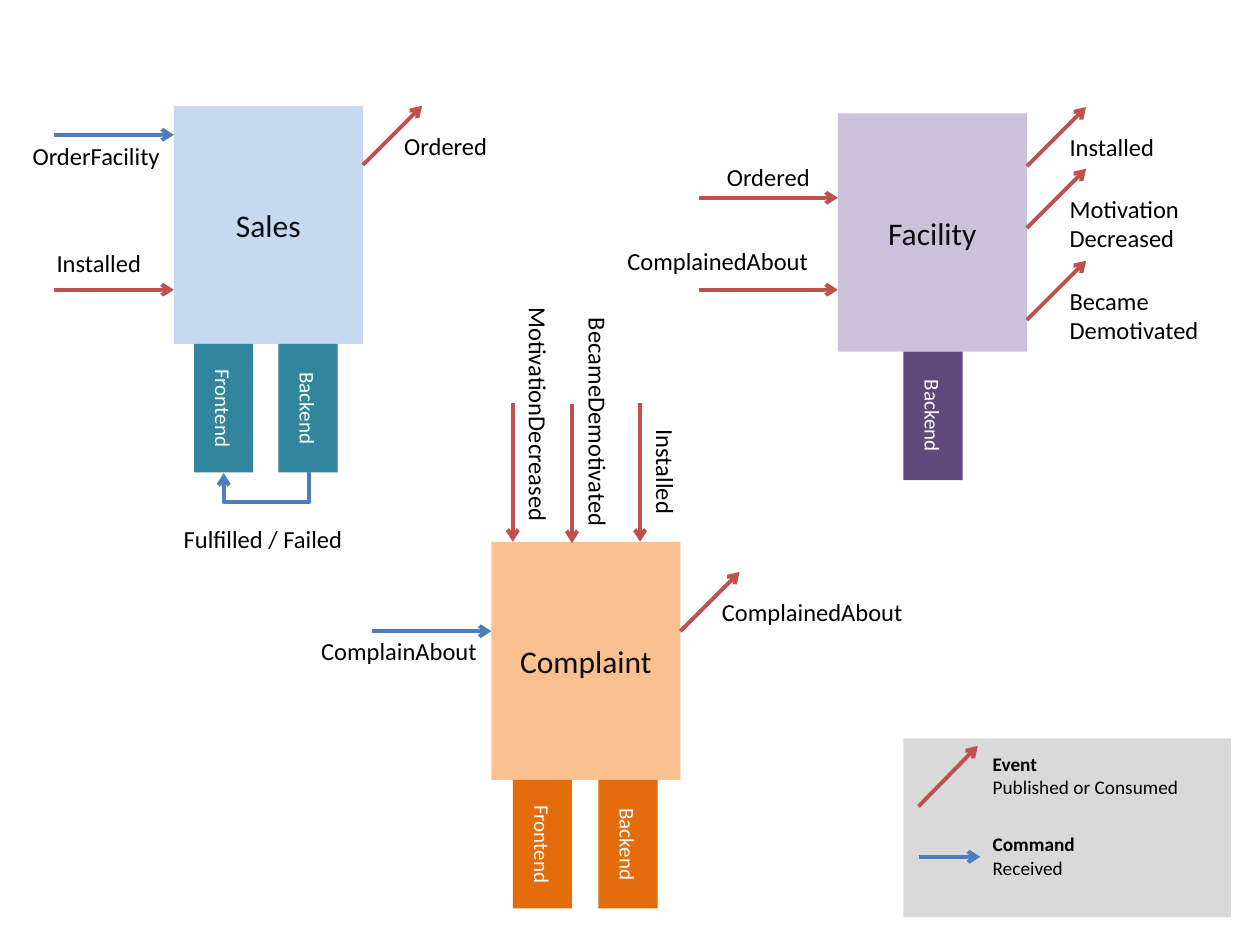
"""Build a slide showing commands and events exchanged by three services."""
from dataclasses import dataclass

from lxml.etree import SubElement
from pptx import Presentation
from pptx.dml.color import RGBColor
from pptx.enum.shapes import MSO_CONNECTOR, MSO_SHAPE
from pptx.enum.text import MSO_ANCHOR, MSO_AUTO_SIZE, PP_ALIGN
from pptx.oxml.ns import qn
from pptx.util import Inches, Pt


@dataclass(frozen=True)
class Theme:
    font: str = "Calibri"
    event: str = "C0504D"
    command: str = "4B7EBC"
    sales: str = "C6D9F1"
    sales_tier: str = "31859C"
    facility: str = "CCC1DA"
    facility_tier: str = "604A7B"
    complaint: str = "FAC090"
    complaint_tier: str = "E46C0A"
    legend: str = "D9D9D9"
    ink: str = "0D0D0D"
    black: str = "000000"
    white: str = "FFFFFF"
    service_size: int = 18
    label_size: int = 14
    tier_size: int = 12
    legend_size: int = 11
    line_width: float = 2.25


theme = Theme()


def add_text(container, box, text, size, color, fill=None):
    left, top, width, height = map(Inches, box)
    if fill:
        holder = container.add_shape(MSO_SHAPE.RECTANGLE, left, top, width, height)
        holder.shadow.inherit = False
        holder.fill.solid()
        holder.fill.fore_color.rgb = RGBColor.from_string(fill)
        holder.line.fill.background()
    else:
        holder = container.add_textbox(left, top, width, height)
    frame = holder.text_frame
    frame.text = text
    paragraph = frame.paragraphs[0]
    if fill:
        frame.vertical_anchor = MSO_ANCHOR.MIDDLE
        paragraph.alignment = PP_ALIGN.CENTER
    else:
        frame.word_wrap = False
        frame.auto_size = MSO_AUTO_SIZE.SHAPE_TO_FIT_TEXT
    for run in paragraph.runs:
        run.font.name = theme.font
        run.font.size = Pt(size)
        run.font.color.rgb = RGBColor.from_string(color)
    return holder


def add_arrow(container, start, end, color, kind=MSO_CONNECTOR.STRAIGHT):
    arrow = container.add_connector(kind, *map(Inches, (*start, *end)))
    arrow.line.color.rgb = RGBColor.from_string(color)
    arrow.line.width = Pt(theme.line_width)
    SubElement(arrow.line._get_or_add_ln(), qn("a:tailEnd"), type="arrow")
    SubElement(arrow._element.spPr, qn("a:effectLst"))
    return arrow


presentation = Presentation()
presentation.slide_width = Inches(10)
presentation.slide_height = Inches(7.5)
slide = presentation.slides.add_slide(presentation.slide_layouts[6])
shapes = slide.shapes

service_width, service_height = 1.5, 1.89
tier_width, tier_height = 0.47, 1.02
services = [
    ("Sales", 1.38, 0.84, theme.sales, theme.sales_tier,
     [("Frontend", 1.54), ("Backend", 2.21)]),
    ("Facility", 6.65, 0.9, theme.facility, theme.facility_tier,
     [("Backend", 7.17)]),
    ("Complaint", 3.9, 4.3, theme.complaint, theme.complaint_tier,
     [("Frontend", 4.07), ("Backend", 4.75)]),
]
for service, left, top, fill, tier_fill, tiers in services:
    add_text(shapes, (left, top, service_width, service_height), service,
             theme.service_size, theme.ink, fill)
    for tier, tier_left in tiers:
        tier_box = add_text(
            shapes, (tier_left, top + service_height, tier_width, tier_height),
            tier, theme.tier_size, theme.white, tier_fill)
        tier_box.text_frame._txBody.bodyPr.set("vert", "vert")

incoming = [
    (0.43, 1.38, 1.07, theme.command),
    (0.43, 1.38, 2.3, theme.event),
    (2.95, 3.9, 5.01, theme.command),
    (5.55, 6.65, 1.57, theme.event),
    (5.55, 6.65, 2.3, theme.event),
]
for start_x, end_x, y, color in incoming:
    add_arrow(shapes, (start_x, y), (end_x, y), color)

for x, y in [(4.07, 3.2), (4.54, 3.21), (5.08, 3.2)]:
    add_arrow(shapes, (x, y), (x, y + 1.1), theme.event)

rise = 0.47
for x, y in [(2.88, 1.31), (5.4, 5.01), (8.15, 1.32), (8.15, 1.81), (8.15, 2.54)]:
    add_arrow(shapes, (x, y), (x + rise, y - rise), theme.event)

reply = add_arrow(shapes, (2.11, 3.41), (2.12, 4.09), theme.command,
                  MSO_CONNECTOR.ELBOW)
reply._element.spPr.find(qn("a:xfrm")).set("rot", "5400000")
bends = reply._element.spPr.find(qn("a:prstGeom")).get_or_add_avLst()
SubElement(bends, qn("a:gd"), name="adj1", fmla="val 2450000")

labels = [
    ("OrderFacility", 0.16, 1.07, 1.22, 0),
    ("Installed", 0.35, 1.92, 0.88, 0),
    ("Ordered", 3.11, 0.99, 0.87, 0),
    ("Fulfilled / Failed", 1.36, 4.11, 1.52, 0),
    ("ComplainAbout", 2.45, 5, 1.45, 0),
    ("ComplainedAbout", 5.63, 4.69, 1.65, 0),
    ("MotivationDecreased", 3.31, 3.13, 1.92, 90),
    ("BecameDemotivated", 3.81, 3.19, 1.87, 90),
    ("Installed", 4.84, 3.58, 0.88, 90),
    ("Ordered", 5.67, 1.24, 0.87, 0),
    ("ComplainedAbout", 4.88, 1.9, 1.65, 0),
    ("Installed", 8.39, 1, 0.88, 0),
    ("Motivation\vDecreased", 8.39, 1.49, 1.08, 0),
    ("Became\vDemotivated", 8.39, 2.22, 1.24, 0),
]
for message, left, top, width, rotation in labels:
    height = 0.57 if "\v" in message else 0.34
    label = add_text(shapes, (left, top, width, height), message,
                     theme.label_size, theme.black)
    label.rotation = rotation

legend = shapes.add_group_shape().shapes
add_text(legend, (7.17, 5.86, 2.6, 1.42), "", theme.legend_size, theme.black,
         theme.legend)
legend_entries = [
    ("Event\vPublished or Consumed", 5.92, 1.68, (7.29, 6.4), (7.76, 5.92), theme.event),
    ("Command\vReceived", 6.56, 0.86, (7.29, 6.8), (7.78, 6.8), theme.command),
]
for meaning, top, width, start, end, color in legend_entries:
    add_arrow(legend, start, end, color)
    entry = add_text(legend, (7.78, top, width, 0.47), meaning,
                     theme.legend_size, theme.black)
    entry.text_frame.paragraphs[0].runs[0].font.bold = True

presentation.save("out.pptx")
